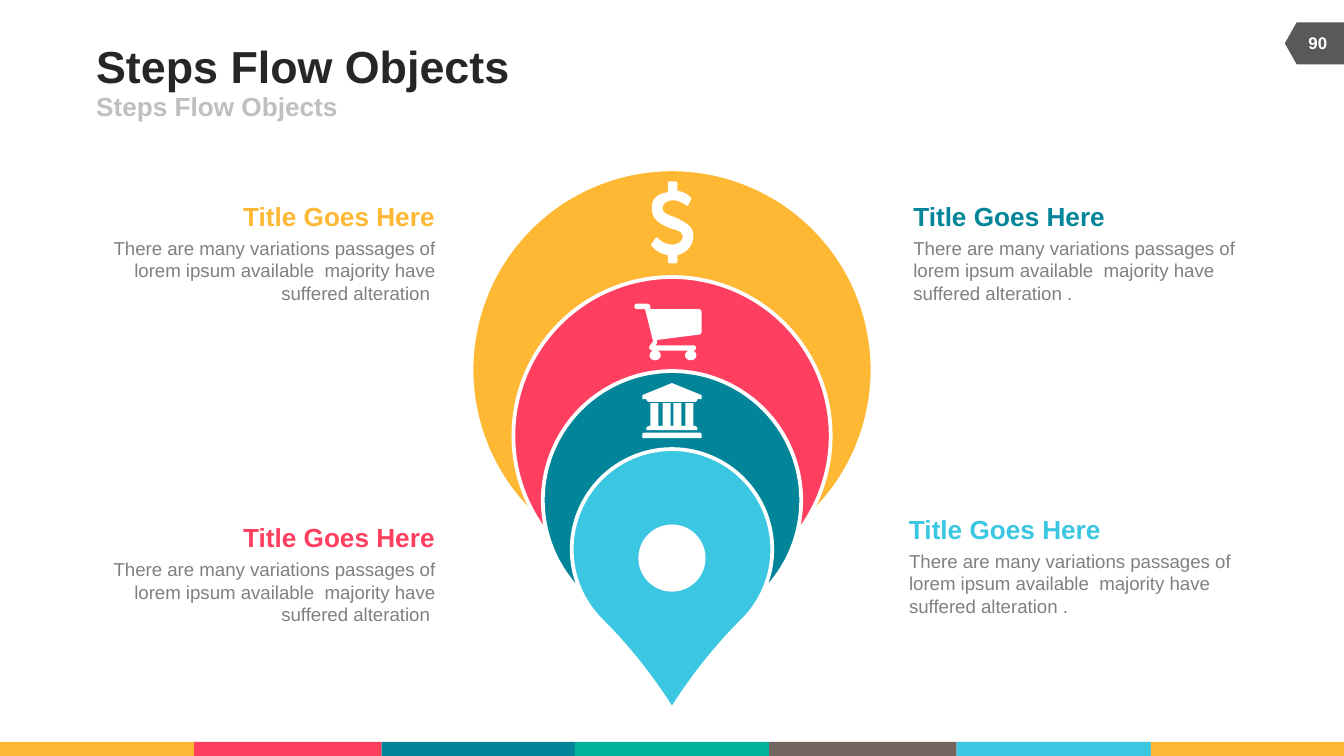
from math import cos, pi, sin

from pptx import Presentation
from pptx.dml.color import RGBColor
from pptx.enum.shapes import MSO_SHAPE as Shape
from pptx.enum.text import MSO_ANCHOR as Anchor, MSO_AUTO_SIZE as AutoSize, PP_ALIGN as Align
from pptx.oxml.ns import qn
from pptx.util import Pt

AMBER = RGBColor(0xFE, 0xB8, 0x34)
PINK = RGBColor(0xFF, 0x3F, 0x5F)
TEAL = RGBColor(0x02, 0x85, 0x99)
GREEN = RGBColor(0x01, 0xB5, 0x9C)
BROWN = RGBColor(0x73, 0x65, 0x5D)
SKY = RGBColor(0x3B, 0xC7, 0xE2)
WHITE = RGBColor(0xFF, 0xFF, 0xFF)
INK = RGBColor(0x26, 0x26, 0x26)
SILVER = RGBColor(0xBF, 0xBF, 0xBF)
GRAY = RGBColor(0x80, 0x80, 0x80)
DARK_GRAY = RGBColor(0x59, 0x59, 0x59)

presentation = Presentation()
presentation.slide_width, presentation.slide_height = Pt(720), Pt(405)
slide = presentation.slides.add_slide(presentation.slide_layouts[1])


def write(shape, box, text, size, color, bold=False, align=Align.LEFT,
          anchor=Anchor.TOP, wrap=False):
    """Place a text shape at box (left, top, width, height) and format its text."""
    shape.left, shape.top, shape.width, shape.height = map(Pt, box)
    frame = shape.text_frame
    frame.text = text
    frame.auto_size = AutoSize.NONE
    frame.word_wrap = wrap
    frame.vertical_anchor = anchor
    frame.margin_left = frame.margin_right = frame.margin_top = frame.margin_bottom = 0
    paragraph = frame.paragraphs[0]
    paragraph.alignment = align
    paragraph.space_before = Pt(0)
    font = paragraph.runs[0].font
    font.name, font.size, font.bold = "Arial", Pt(size), bold
    font.color.rgb = color


def draw_icon(contours):
    """Draw white outlines; a point is (x, y), a Bézier curve (x1, y1, x2, y2, x, y)."""
    start = contours[0][0]
    unit = 72  # hundredths of an inch to hundredths of a point
    builder = slide.shapes.build_freeform(start[0] * unit, start[1] * unit, scale=Pt(0.01))
    for number, contour in enumerate(contours):
        x, y = contour[0]
        if number:
            builder.move_to(x * unit, y * unit)
        points = []
        for step in contour[1:]:
            if len(step) == 2:
                points.append(step)
            else:
                x1, y1, x2, y2, x3, y3 = step
                for t in (n / 8 for n in range(1, 9)):
                    a, b, c, d = (1 - t) ** 3, 3 * t * (1 - t) ** 2, 3 * t * t * (1 - t), t ** 3
                    points.append((a * x + b * x1 + c * x2 + d * x3,
                                   a * y + b * y1 + c * y2 + d * y3))
            x, y = step[-2:]
        builder.add_line_segments([(px * unit, py * unit) for px, py in points], close=True)
    icon = builder.convert_to_shape()
    icon.shadow.inherit = False
    icon.fill.solid()
    icon.fill.fore_color.rgb = WHITE
    icon.line.fill.background()


# Colour strip along the bottom
strip_lefts = [0, 104, 204.5, 308, 412, 512.5, 616.5, 720]
strip_colors = [AMBER, PINK, TEAL, GREEN, BROWN, SKY, AMBER]
for left, right, color in zip(strip_lefts, strip_lefts[1:], strip_colors):
    strip = slide.shapes.add_shape(Shape.RECTANGLE, Pt(left), Pt(397.5), Pt(right - left), Pt(7.5))
    strip.shadow.inherit = False
    strip.fill.solid()
    strip.fill.fore_color.rgb = color
    strip.line.fill.background()

# Page number tag
tag = slide.shapes.add_shape(Shape.FLOWCHART_OFFPAGE_CONNECTOR,
                             Pt(692.9), Pt(7.4), Pt(22.5), Pt(31.7))
tag.rotation = 90
tag.shadow.inherit = False
tag.fill.solid()
tag.fill.fore_color.rgb = DARK_GRAY
tag.line.fill.background()
write(slide.shapes.add_textbox(0, 0, 0, 0), (691, 12.2, 30, 21.6), "90", 9, WHITE,
      bold=True, align=Align.CENTER, anchor=Anchor.MIDDLE)

# Title and subtitle
write(slide.shapes.title, (51.5, 21, 444, 28), "Steps Flow Objects", 24, INK,
      bold=True, anchor=Anchor.MIDDLE)
subtitle = slide.placeholders[1]
write(subtitle, (51.5, 48.8, 324, 16), "Steps Flow Objects", 14, SILVER,
      bold=True, anchor=Anchor.MIDDLE)
properties = subtitle.text_frame.paragraphs[0]._p.get_or_add_pPr()
properties.set("marL", "0")
properties.set("indent", "0")
properties.append(properties.makeelement(qn("a:buNone"), {}))

# Nested drops, centred on the slide
for top, size, color in [(90.7, 214.8, AMBER), (148.4, 170, PINK),
                         (198.8, 138.4, TEAL), (240.6, 107.4, SKY)]:
    drop = slide.shapes.add_shape(Shape.TEAR, Pt(360 - size / 2), Pt(top), Pt(size), Pt(size))
    drop.adjustments[0] = 1.128
    drop.rotation = 135
    drop.shadow.inherit = False
    drop.fill.solid()
    drop.fill.fore_color.rgb = color
    drop.line.color.rgb = WHITE
    drop.line.width = Pt(2)

# Icons, in hundredths of an inch on the slide
dollar = [[
    (504, 190), (504, 195), (503, 196), (498, 196), (497, 195), (497, 190),
    (488, 188, 485, 183, 485, 183), (484.5, 182), (488, 177), (489, 176.5),
    (489, 177, 494, 182, 500, 182), (504, 182, 508, 180, 508, 176),
    (508, 172, 503, 171, 499, 170), (492, 167, 485, 164, 485, 155),
    (485, 148, 489, 144, 497, 143), (497, 136), (498, 135), (503, 135), (504, 136),
    (504, 142), (511, 143, 514, 147, 514, 147), (514.5, 148), (512, 153), (511, 153),
    (511, 153, 506, 149, 501, 149), (496, 149, 493, 152, 493, 155),
    (493, 159, 498, 160, 503, 162), (509, 165, 516, 168, 516, 175),
    (516, 183, 511, 188, 504, 190),
]]

cart = [[
    (522, 247), (522, 248, 521, 249, 520, 249), (489, 253), (489, 255), (488, 257), (516, 257),
    (517, 257, 518, 258, 518, 258.5), (518, 260, 517, 261, 516, 261), (486, 261),
    (485, 261, 483, 260, 483, 258.5), (483, 258, 485, 255, 486, 254), (480, 230), (474, 230),
    (473, 230, 472, 229, 472, 228), (472, 227, 473, 226, 474, 226), (481, 226),
    (484, 226, 484, 228, 484, 230), (520, 230), (521, 230, 522, 231, 522, 232),
]]
for center in (487.5, 514):
    angles = [pi * n / 12 for n in range(24)]
    cart.append([(center + 4.2 * cos(angle), 264.4 + 3.7 * sin(angle)) for angle in angles])

bank = [
    [(522, 294), (522, 297), (519, 297), (519, 298, 518, 299, 517, 299), (483, 299),
     (482, 299, 481, 298, 481, 297), (478, 297), (478, 294), (500, 285)],
    [(522, 323), (522, 326), (478, 326), (478, 323), (478, 322, 479, 322, 480, 322), (520, 322),
     (521, 322, 522, 322, 522, 323)],
]
columns = [(484, 490), (493, 499), (501, 507), (510, 516)]
colonnade = [(481, 320), (481, 319), (481, 318, 482, 317, 483, 317)]
for left, right in columns:
    colonnade += [(left, 317), (left, 300), (right, 300), (right, 317)]
bank.append(colonnade + [(517, 317), (518, 317, 519, 318, 519, 319), (519, 320)])

for contours in (dollar, bank, cart):
    draw_icon(contours)

# Plain dot in the front drop
dot = slide.shapes.add_shape(Shape.OVAL, Pt(342), Pt(281), Pt(36), Pt(36))
dot.shadow.inherit = False
dot.fill.solid()
dot.fill.fore_color.rgb = WHITE
dot.line.fill.background()

# Captions
body = "There are many variations passages of lorem ipsum available  majority have suffered alteration "
for left, top, color, align, ending in [
    (54, 107.3, AMBER, Align.RIGHT, ""), (54, 279.5, PINK, Align.RIGHT, ""),
    (489.3, 107.3, TEAL, Align.LEFT, "."), (487, 275, SKY, Align.LEFT, "."),
]:
    heading_left = left + 76 if align == Align.RIGHT else left
    write(slide.shapes.add_textbox(0, 0, 0, 0), (heading_left, top, 103, 17),
          "Title Goes Here", 14, color, bold=True, align=align)
    write(slide.shapes.add_textbox(0, 0, 0, 0), (left, top + 19.6, 179, 36),
          body + ending, 10, GRAY, align=align, wrap=True)

presentation.save("out.pptx")
